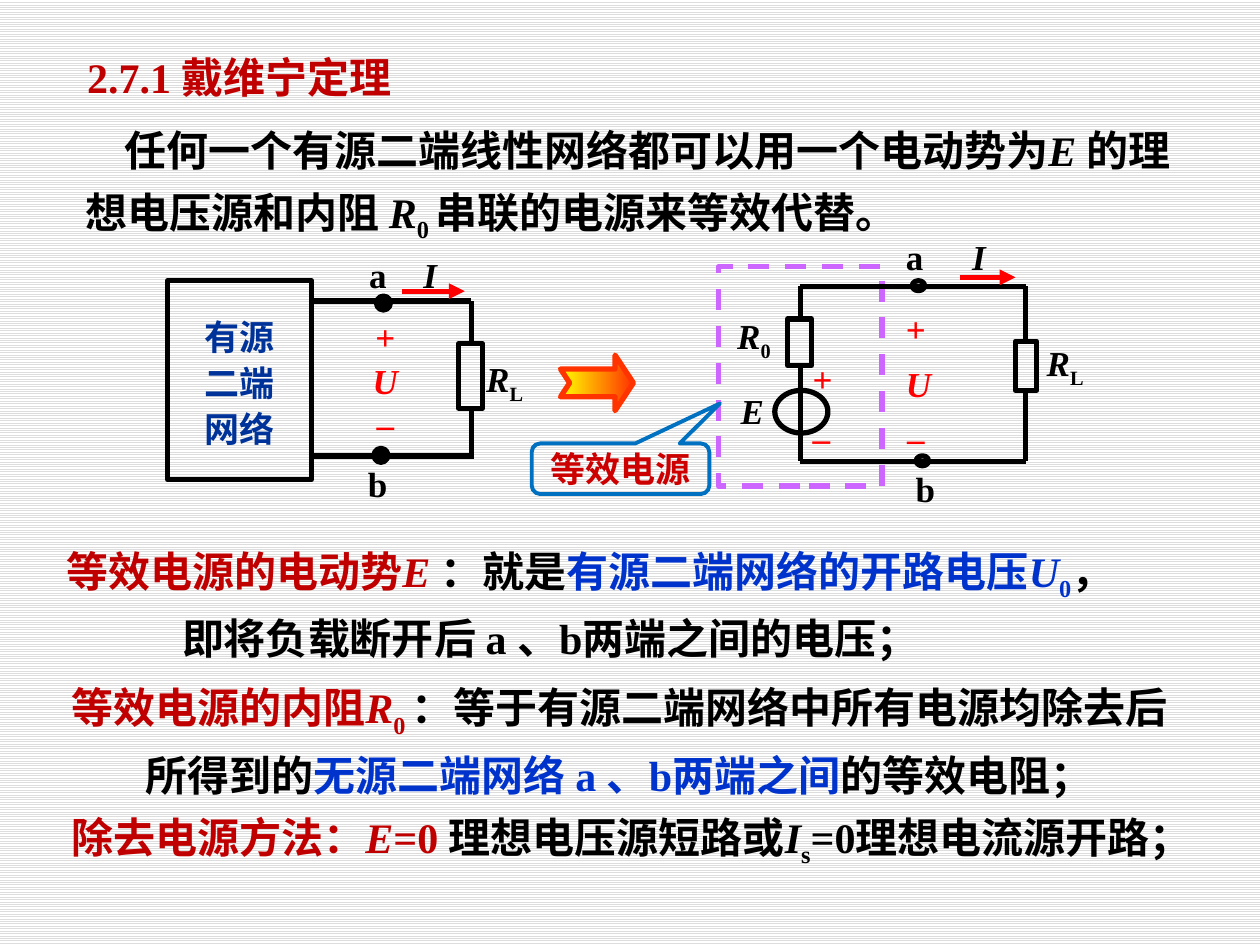
"""Build the slide on Thevenin's theorem with its two equivalent circuits."""
from dataclasses import dataclass
from typing import Any, Optional

import lxml.etree
import pptx
import pptx.dml.color
import pptx.enum.dml
import pptx.enum.shapes
import pptx.enum.text
import pptx.oxml.ns
import pptx.util

Cm = pptx.util.Cm
Kind = pptx.enum.shapes.MSO_SHAPE
Align = pptx.enum.text.PP_ALIGN
Anchor = pptx.enum.text.MSO_ANCHOR
FONT = "Times New Roman"
COLORS = {
    "black": "000000", "white": "FFFFFF", "stripe": "DDDDDD", "term": "C00000",
    "key": "0033CC", "network": "003399", "signal": "FF0000", "callout": "CC0000",
    "frame": "CC66FF", "outline": "0070C0", "arrow": "FF3300", "glow": "FFFF00",
}


@dataclass
class Span:
    text: str
    color: str = "black"
    italic: bool = False
    sub: bool = False


@dataclass
class Para:
    spans: list[Span]
    margin: float = 0
    indent: float = 0


@dataclass
class Label:
    spans: list[Span]
    place: tuple[float, float, float, float]
    align: Any = Align.CENTER


@dataclass
class Wire:
    start: tuple[float, float]
    end: tuple[float, float]
    color: str = "black"
    arrow: bool = False


@dataclass
class Part:
    kind: Any
    place: tuple[float, float, float, float]
    fill: Optional[str] = None


def rgb(name: str) -> pptx.dml.color.RGBColor:
    return pptx.dml.color.RGBColor.from_string(COLORS[name])


def write_text(frame: Any, paras: list[Para], *, size: float = 20, align: Any = Align.LEFT,
               spacing: float = 1.0, gap: float = 0, wrap: bool = False,
               anchor: Any = Anchor.TOP) -> None:
    frame.word_wrap = wrap
    frame.vertical_anchor = anchor
    for number, item in enumerate(paras):
        para = frame.add_paragraph() if number else frame.paragraphs[0]
        para.alignment, para.line_spacing = align, spacing
        if number and gap:
            para.space_before = pptx.util.Pt(gap)
        if item.margin or item.indent:
            properties = para._p.get_or_add_pPr()
            properties.set("marL", str(Cm(item.margin)))
            properties.set("indent", str(Cm(item.indent)))
        for span in item.spans:
            run = para.add_run()
            run.text = span.text
            font = run.font
            font.name, font.size, font.bold = FONT, pptx.util.Pt(size), True
            font.italic = span.italic
            font.color.rgb = rgb(span.color)
            if span.sub:
                font._element.set("baseline", "-25000")


def add_box(shapes: Any, place: tuple, paras: list[Para], **style: Any) -> None:
    box = shapes.add_textbox(*map(Cm, place))
    write_text(box.text_frame, paras, **style)


def add_part(shapes: Any, part: Part, line: str = "black", width: float = 3) -> Any:
    shape = shapes.add_shape(part.kind, *map(Cm, part.place))
    shape.shadow.inherit = False
    if part.fill:
        shape.fill.solid()
        shape.fill.fore_color.rgb = rgb(part.fill)
    else:
        shape.fill.background()
    shape.line.color.rgb = rgb(line)
    shape.line.width = pptx.util.Pt(width)
    return shape


def add_wire(shapes: Any, wire: Wire) -> None:
    connector = shapes.add_connector(pptx.enum.shapes.MSO_CONNECTOR.STRAIGHT,
                                     *map(Cm, wire.start + wire.end))
    connector.line.color.rgb = rgb(wire.color)
    connector.line.width = pptx.util.Pt(3)
    qn = pptx.oxml.ns.qn
    if wire.arrow:
        lxml.etree.SubElement(connector.line._get_or_add_ln(), qn("a:tailEnd"), type="triangle")
    lxml.etree.SubElement(connector._element.spPr, qn("a:effectLst"))


def add_circuit(page: Any, wires: list[Wire], parts: list[Part], labels: list[Label]) -> Any:
    shapes = page.shapes.add_group_shape().shapes
    for wire in wires:
        add_wire(shapes, wire)
    for part in parts:
        add_part(shapes, part)
    for label in labels:
        add_box(shapes, label.place, [Para(label.spans)], align=label.align)
    return shapes


def main() -> None:
    deck = pptx.Presentation()
    deck.slide_width, deck.slide_height = Cm(25.4), Cm(19.05)
    page = deck.slides.add_slide(deck.slide_layouts[5])
    paper = page.background.fill
    paper.patterned()
    paper.pattern = pptx.enum.dml.MSO_PATTERN.LIGHT_HORIZONTAL
    paper.fore_color.rgb, paper.back_color.rgb = rgb("stripe"), rgb("white")

    title = page.shapes.title
    title.left, title.top, title.width, title.height = map(Cm, (1.5, 0.79, 10.24, 1.4))
    write_text(title.text_frame, [Para([Span("2.7.1 戴维宁定理", "term")])], size=24,
               wrap=True, anchor=Anchor.BOTTOM)

    frame = add_part(page.shapes, Part(Kind.RECTANGLE, (14.48, 5.38, 3.3, 4.42)), "frame")
    frame.line.dash_style = pptx.enum.dml.MSO_LINE.DASH
    prose = dict(size=24, spacing=1.2, wrap=True)
    add_box(page.shapes, (1.47, 2.26, 22.86, 2.69), [Para([
        Span("任何一个有源二端线性网络都可以用一个电动势为"), Span("E ", italic=True),
        Span("的理想电压源和内阻 "), Span("R", italic=True), Span("0 ", sub=True),
        Span("串联的电源来等效代替。")], indent=0.79)], anchor=Anchor.MIDDLE, **prose)

    arrow = add_part(page.shapes, Part(Kind.NOTCHED_RIGHT_ARROW, (11.3, 7.16, 1.47, 1.12)), "arrow")
    arrow.adjustments[1] = 0.33
    arrow.fill.gradient()
    arrow.fill.gradient_angle = 0
    for stop, color, position in zip(arrow.fill.gradient_stops, ("glow", "arrow"), (0, 1)):
        stop.color.rgb, stop.position = rgb(color), position

    current = [Span("I", italic=True)]
    load = [Span("R", italic=True), Span("L", sub=True)]
    polarity = [Para([Span("+", "signal")]), Para([Span("U", "signal", True)]),
                Para([Span("–", "signal")])]

    left, right, top, bottom = 6.32, 9.5, 6.07, 9.19
    network = add_circuit(page, [
        Wire((left, top), (right, top)), Wire((left, bottom), (right, bottom)),
        Wire((right, top), (right, 6.93)), Wire((right, 8.23), (right, 9.25)),
        Wire((8.1, 5.87), (9.37, 5.87), "signal", True),
    ], [
        Part(Kind.RECTANGLE, (9.25, 6.93, 0.48, 1.3)),
        Part(Kind.OVAL, (7.59, 5.97, 0.28, 0.28), "black"),
        Part(Kind.OVAL, (7.54, 9.04, 0.28, 0.28), "black"),
    ], [
        Label(load, (9.55, 7.09, 1.3, 1.12), Align.LEFT),
        Label([Span("a")], (7.19, 4.98, 0.86, 1.12)), Label([Span("b")], (7.16, 9.19, 0.91, 1.12)),
        Label(current, (8.28, 4.98, 0.79, 1.12)),
    ])
    source = add_part(network, Part(Kind.RECTANGLE, (3.38, 5.66, 2.9, 4.01)))
    write_text(source.text_frame, [Para([Span(word, "network")]) for word in ("有源", "二端", "网络")],
               align=Align.CENTER, spacing=1.1, anchor=Anchor.MIDDLE)
    add_box(network, (7.26, 6.6, 1.02, 2.46), polarity, align=Align.CENTER, spacing=0.5, gap=13)

    left, right, top, bottom = 16.13, 20.68, 5.77, 9.3
    equivalent = add_circuit(page, [
        Wire((left, top), (right, top)), Wire((left, bottom), (right, bottom)),
        Wire((left, top), (left, 6.43)), Wire((left, 7.37), (left, bottom)),
        Wire((right, top), (right, 6.88)), Wire((right, 7.87), (right, bottom)),
        Wire((19.35, 5.59), (20.47, 5.59), "signal", True),
    ], [
        Part(Kind.OVAL, (15.62, 7.87, 1.07, 0.86)),
        Part(Kind.RECTANGLE, (15.88, 6.43, 0.48, 0.94)),
        Part(Kind.RECTANGLE, (20.47, 6.88, 0.43, 0.99)),
        Part(Kind.OVAL, (18.39, 5.66, 0.25, 0.2)), Part(Kind.OVAL, (18.47, 9.19, 0.25, 0.2)),
    ], [
        Label([Span("E", italic=True)], (14.68, 7.72, 1.0, 0.84), Align.LEFT),
        Label([Span("R", italic=True), Span("0", sub=True)], (14.61, 6.22, 1.2, 0.84), Align.LEFT),
        Label([Span("+", "signal")], (16.13, 7.09, 0.91, 1.12), Align.LEFT),
        Label([Span("_", "signal")], (16.13, 8.03, 0.86, 1.12), Align.LEFT),
        Label(load, (20.85, 6.76, 1.3, 0.84), Align.LEFT),
        Label([Span("a")], (18.01, 4.62, 0.79, 0.84)), Label([Span("b")], (18.21, 9.3, 0.81, 0.84)),
        Label(current, (19.35, 4.62, 0.71, 0.84)),
    ])
    add_box(equivalent, (18.01, 5.82, 0.91, 2.72), polarity, align=Align.CENTER, spacing=1.3)

    add_box(page.shapes, (1.19, 13.39, 24.21, 3.96), [
        Para([Span("等效电源的内阻", "term"), Span("R", "term", True), Span("0 ", "term", sub=True),
              Span("：等于有源二端网络中所有电源均除去后")]),
        Para([Span("所得到的"), Span("无源二端网络 a 、b两端之间", "key"), Span("的等效电阻；")], 1.5),
        Para([Span("除去电源方法：", "term"), Span("E", "term", True), Span("=0 ", "term"),
              Span("理想电压源短路或"), Span("I", italic=True), Span("s", sub=True),
              Span("=0理想电流源开路；")])], **prose)
    add_box(page.shapes, (1.09, 10.64, 22.43, 2.72), [
        Para([Span("等效电源的电动势", "term"), Span("E ", "term", True), Span("：就是"),
              Span("有源二端网络的开路电压", "key"), Span("U", "key", True),
              Span("0", "key", sub=True), Span("，")]),
        Para([Span("即将负载断开后 a 、b两端之间的电压；")], 2.33)], **prose)

    callout = add_part(page.shapes, Part(Kind.ROUNDED_RECTANGULAR_CALLOUT, (10.72, 8.94, 3.58, 1.02)),
                       "outline", 2.25)
    callout.adjustments[0], callout.adjustments[1] = 0.56, -1.29
    write_text(callout.text_frame, [Para([Span("等效电源", "callout")])], align=Align.CENTER,
               anchor=Anchor.MIDDLE)
    deck.save("out.pptx")


if __name__ == "__main__":
    main()
